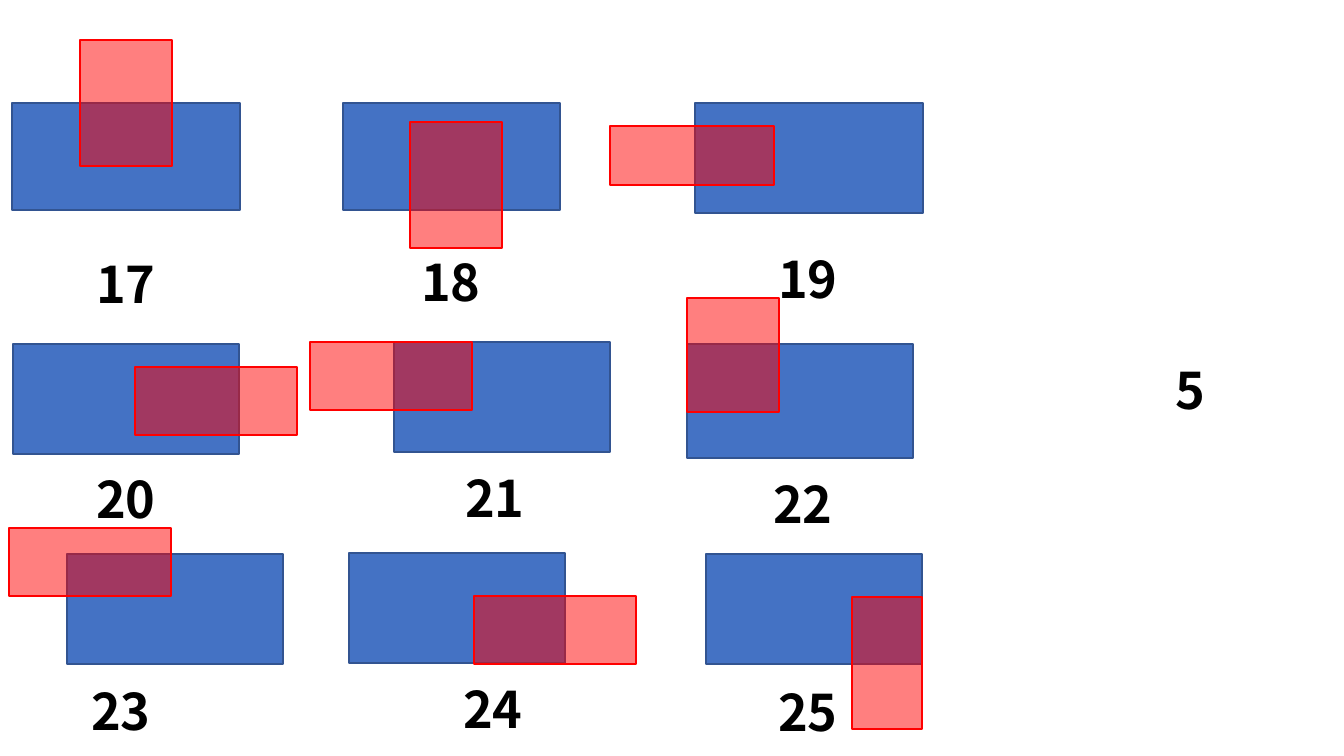
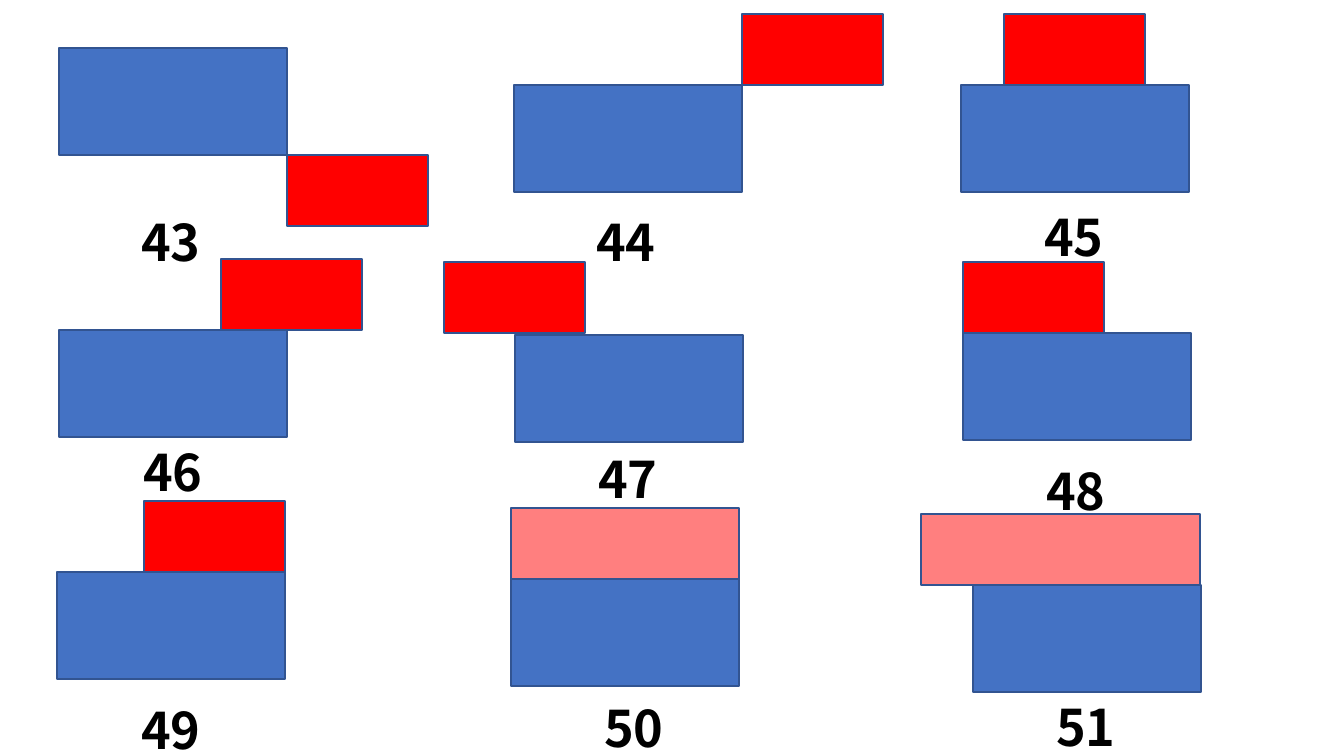
from dataclasses import dataclass

import lxml.etree
import pptx
import pptx.dml.color
import pptx.enum.shapes
import pptx.enum.text
import pptx.oxml.ns
import pptx.util

PIXEL = 914400 / 100.8
SLIDE_SIZE = (1344, 756)
LABEL_SIZE = (98, 72)


@dataclass(frozen=True)
class Theme:
    base: str = "4472C4"
    outline: str = "325491"
    overlay: str = "FF0000"
    text: str = "000000"
    font: str = "Noto Sans CJK SC"
    label_size: int = 36
    line_width: int = 1
    half_opaque: int = 50


THEME = Theme()
LABEL_FORMAT = {
    "name": THEME.font,
    "size": pptx.util.Pt(THEME.label_size),
    "bold": True,
}


def rgb(value):
    return pptx.dml.color.RGBColor.from_string(value)


def emu(lengths):
    return [pptx.util.Emu(round(length * PIXEL)) for length in lengths]


def add_block(slide, box, fill, outline, opacity=100):
    """Draw one outlined rectangle in the given box."""
    block = slide.shapes.add_shape(
        pptx.enum.shapes.MSO_SHAPE.RECTANGLE, *emu(box))
    block.shadow.inherit = False
    block.fill.solid()
    block.fill.fore_color.rgb = rgb(fill)
    block.line.color.rgb = rgb(outline)
    block.line.width = pptx.util.Pt(THEME.line_width)
    if opacity < 100:
        qn = pptx.oxml.ns.qn
        colour = block.fill._xPr.find(qn("a:solidFill")).find(qn("a:srgbClr"))
        lxml.etree.SubElement(colour, qn("a:alpha"), val=str(opacity * 1000))


def add_label(slide, left, top, number):
    """Write a case number, centred in a box of fixed width."""
    label = slide.shapes.add_textbox(*emu((left, top, *LABEL_SIZE)))
    frame = label.text_frame
    frame.word_wrap = True
    frame.auto_size = pptx.enum.text.MSO_AUTO_SIZE.SHAPE_TO_FIT_TEXT
    paragraph = frame.paragraphs[0]
    paragraph.alignment = pptx.enum.text.PP_ALIGN.CENTER
    run = paragraph.add_run()
    run.text = str(number)
    for attribute, value in LABEL_FORMAT.items():
        setattr(run.font, attribute, value)
    run.font.color.rgb = rgb(THEME.text)


def add_case(slide, number, base, overlay, label, outline, opacity):
    """Place a base, its overlay and its number; the last two relative to the base."""
    left, top = base[:2]
    shift_x, shift_y, width, height = overlay
    add_block(slide, base, THEME.base, THEME.outline)
    add_block(slide, (left + shift_x, top + shift_y, width, height),
              THEME.overlay, outline, opacity)
    add_label(slide, left + label[0], top + label[1], number)


def add_overlap_slide(deck, first_number, cases, stray_label):
    """Cases whose half-transparent overlay covers part of the base."""
    slide = deck.slides.add_slide(deck.slide_layouts[6])
    for number, (base, overlay, label) in enumerate(cases, first_number):
        add_case(slide, number, base, overlay, label,
                 THEME.overlay, THEME.half_opaque)
    add_label(slide, *stray_label)


def add_touching_slide(deck, first_number, cases):
    """Cases whose overlay only touches the base; wide overlays are see-through."""
    base_size, overlay_width, overlay_height = (228, 107), 141, 71
    slide = deck.slides.add_slide(deck.slide_layouts[6])
    for number, (origin, shift, label, *wide) in enumerate(cases, first_number):
        width = wide[0] if wide else overlay_width
        add_case(slide, number, (*origin, *base_size),
                 (*shift, width, overlay_height), label, THEME.outline,
                 THEME.half_opaque if wide else 100)


# Each case: base box, overlay offset and size, label offset
TALL, FLAT = (92, 126), (162, 68)
OVERLAP_CASES = [
    ((12, 103, 228, 107), (68, -63, *TALL), (65, 145)),
    ((343, 103, 217, 107), (67, 19, *TALL), (59, 143)),
    ((695, 103, 228, 110), (-85, 23, 164, 59), (64, 140)),
    ((13, 344, 226, 110), (122, 23, *FLAT), (64, 119)),
    ((394, 342, 216, 110), (-84, 0, *FLAT), (52, 120)),
    ((687, 344, 226, 114), (0, -46, 92, 114), (67, 124)),
    ((67, 554, 216, 110), (-58, -26, *FLAT), (5, 121)),
    ((349, 553, 216, 110), (125, 43, *FLAT), (95, 120)),
    ((706, 554, 216, 110), (146, 43, 70, 132), (53, 122)),
]

# Each case: base origin, overlay offset, label offset, width of a wide overlay
TOUCHING_CASES = [
    ((59, 48), (228, 107), (63, 158)),
    ((514, 85), (228, -71), (63, 121)),
    ((961, 85), (43, -71), (64, 116)),
    ((59, 330), (162, -71), (65, 106)),
    ((515, 335), (-71, -73), (64, 108)),
    ((963, 333), (0, -71), (64, 122)),
    ((57, 572), (87, -71), (65, 122)),
    ((511, 579), (0, -71), (74, 113), 228),
    ((973, 585), (-52, -71), (64, 106), 279),
]

deck = pptx.Presentation()
deck.slide_width, deck.slide_height = emu(SLIDE_SIZE)
add_overlap_slide(deck, 17, OVERLAP_CASES, stray_label=(1141, 354, 5))
add_touching_slide(deck, 43, TOUCHING_CASES)
deck.save("out.pptx")
